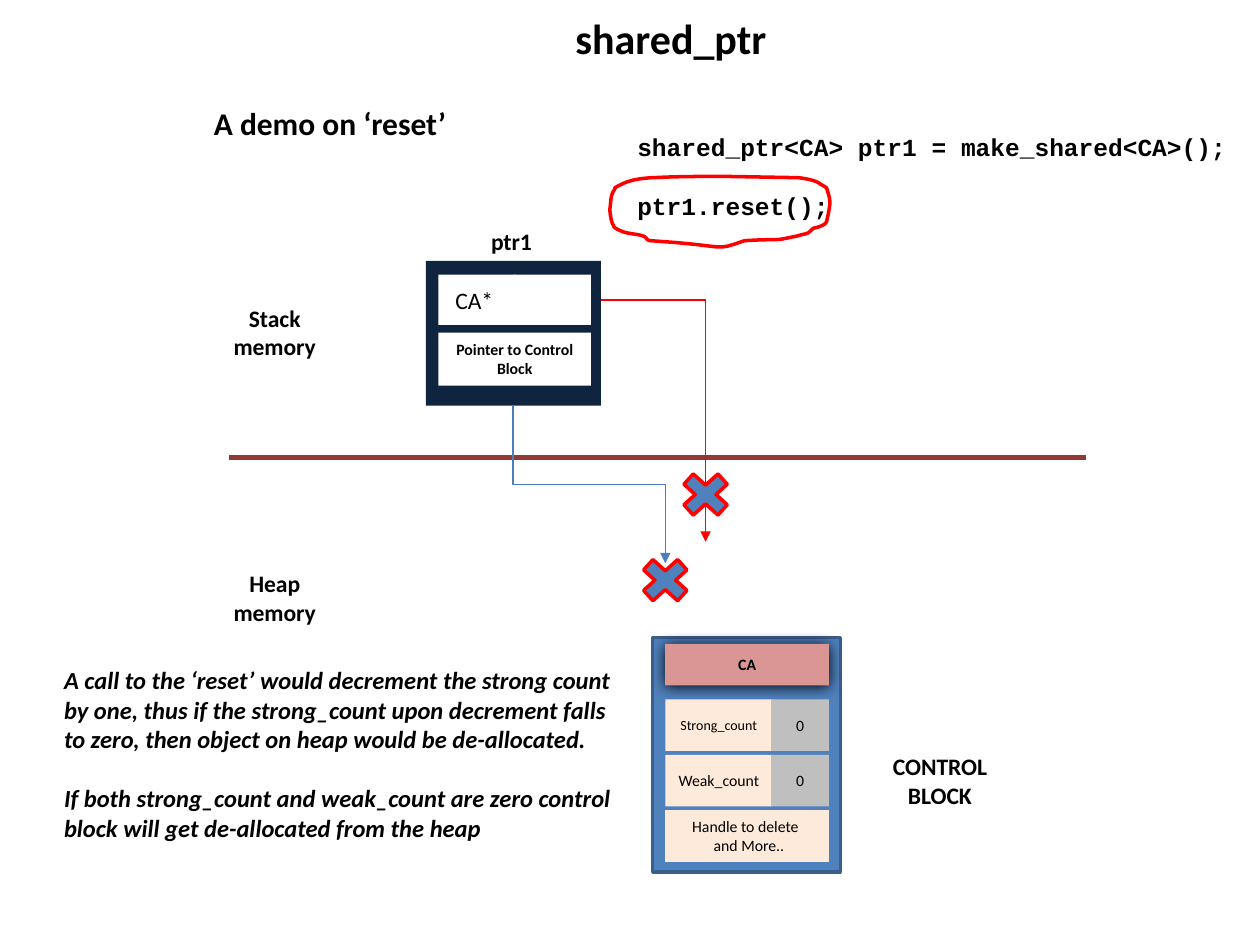
"""Build the slide that shows what reset does to a shared_ptr."""
from lxml import etree
from pptx import Presentation
from pptx import util as u
from pptx.dml.color import RGBColor
from pptx.enum import shapes as s, text as t
from pptx.oxml import ns

PX = 9144
RED, BLUE, WHITE, PEACH, GREY = "FF0000", "4F81BD", "FFFFFF", "FDEADA", "BFBFBF"
CENTER, LEFT = t.PP_ALIGN.CENTER, t.PP_ALIGN.LEFT


def paint(shape, fill=None, line=None, width=0):
    shape.shadow.inherit = False
    if fill:
        shape.fill.solid()
        shape.fill.fore_color.rgb = RGBColor.from_string(fill)
    else:
        shape.fill.background()
    if line:
        shape.line.color.rgb = RGBColor.from_string(line)
        shape.line.width = u.Pt(width)
    else:
        shape.line.fill.background()


def write(shape, lines, size, bold=True, align=CENTER, font="Calibri", italic=False, gap=0):
    frame = shape.text_frame
    frame.word_wrap = True
    for i, line in enumerate(lines):
        para = frame.add_paragraph() if i else frame.paragraphs[0]
        para.alignment = align
        para.space_before = u.Pt(gap if i else 0)
        run = para.add_run()
        run.text = line
        run.font.size = u.Pt(size)
        run.font.name = font
        run.font.bold = bold
        run.font.italic = italic
        run.font.color.rgb = RGBColor.from_string("000000")


prs = Presentation()
prs.slide_width, prs.slide_height = 1000 * PX, 750 * PX
slide = prs.slides.add_slide(prs.slide_layouts[5])
tree = slide.shapes

title = tree.title
title.left, title.top, title.width, title.height = [n * PX for n in (437, 5, 191, 50)]
title.text_frame.vertical_anchor = t.MSO_ANCHOR.TOP
title.text_frame.auto_size = t.MSO_AUTO_SIZE.SHAPE_TO_FIT_TEXT
write(title, ["shared_ptr"], 24)

pointer = [
    ((338, 207, 139, 115), "0F243E", [], 9, False),
    ((348, 218, 61, 40), WHITE, ["CA* "], 13.5, False),
    ((408, 218, 61, 40), WHITE, [], 9, False),
    ((348, 264, 121, 42), WHITE, ["Pointer to Control Block"], 9, True),
]
block = [
    ((518, 506, 149, 186), BLUE, [], 9, False),
    ((528, 511, 130, 33), "D99694", ["CA"], 9, True),
]
for row, (name, size) in enumerate([("Strong_count", 8), ("Weak_count", 9)]):
    top = 555 + 44 * row
    block.append(((528, top, 85, 41), PEACH, [name], size, False))
    block.append(((612, top, 46, 41), GREY, ["0"], 9, False))
block.append(((528, 643, 130, 41), PEACH, ["Handle to delete ", " and More.."], 9, False))

for cells in (pointer, block):
    group = tree.add_group_shape()
    for box, fill, lines, size, bold in cells:
        cell = group.shapes.add_shape(s.MSO_SHAPE.RECTANGLE, *[n * PX for n in box])
        paint(cell, fill)
        frame = cell.text_frame
        frame.margin_left = frame.margin_right = 5 * PX
        frame.vertical_anchor = t.MSO_ANCHOR.MIDDLE
        write(cell, lines, size, bold)
        if fill == BLUE:
            paint(cell, fill, "3A5F8C", 2)
        if lines == ["CA"]:
            glow = etree.SubElement(
                cell._element.spPr.find(ns.qn("a:effectLst")), ns.qn("a:outerShdw"),
                blurRad="107950", dist="12700", dir="5400000", algn="ctr", rotWithShape="0")
            etree.SubElement(glow, ns.qn("a:srgbClr"), val="000000")

STRAIGHT, ELBOW = s.MSO_CONNECTOR.STRAIGHT, s.MSO_CONNECTOR.ELBOW
wires = [
    (STRAIGHT, (182, 363, 862, 363), "953735", 3, False),
    (STRAIGHT, (477, 238, 560, 238), RED, 0.75, False),
    (STRAIGHT, (560, 238, 560, 430), RED, 0.75, True),
    (ELBOW, (405, 324, 530, 445), "4B7EBC", 0.75, True),
]
for kind, ends, tint, width, arrow in wires:
    wire = tree.add_connector(kind, *[n * PX for n in ends])
    wire.line.color.rgb = RGBColor.from_string(tint)
    wire.line.width = u.Pt(width)
    props = wire._element.spPr
    etree.SubElement(props, ns.qn("a:effectLst"))
    if arrow:
        etree.SubElement(props.find(ns.qn("a:ln")), ns.qn("a:tailEnd"), type="triangle")
    if kind == ELBOW:
        form = props.find(ns.qn("a:xfrm"))
        form.set("rot", "16200000")
        form.set("flipH", "1")

start = (488, 149)
curves = [
    [(490, 148), (495, 145), (499, 144)], [(504, 142), (515, 141), (519, 141)],
    [(538, 140), (557, 140), (576, 140)], [(632, 141)],
    [(636, 141), (648, 143), (651, 146)], [(656, 149)],
    [(659, 159), (660, 159), (656, 176)], [(655, 179), (647, 181), (646, 181)],
    [(644, 182), (643, 184), (641, 185)], [(639, 186), (636, 186), (634, 187)],
    [(610, 192), (627, 189), (591, 191)], [(565, 200), (581, 195), (516, 191)],
    [(514, 191), (513, 189), (512, 188)], [(508, 186), (503, 186), (499, 185)],
    [(496, 185), (490, 182), (490, 182)], [(489, 181), (487, 181), (487, 179)],
    [(485, 177), (484, 168), (484, 166)], [(485, 161), (484, 155), (488, 150)],
]
dots, last = [], start
for curve in curves:
    if len(curve) == 1:
        dots.append(curve[0])
    else:
        for step in range(1, 9):
            f = step / 8
            parts = [(1 - f) ** 3, 3 * f * (1 - f) ** 2, 3 * f * f * (1 - f), f ** 3]
            dots.append([sum(w * p[k] for w, p in zip(parts, [last] + curve)) for k in (0, 1)])
    last = curve[-1]
pen = tree.build_freeform(start[0] * PX, start[1] * PX, scale=1.0)
pen.add_line_segments([(x * PX, y * PX) for x, y in dots], close=True)
paint(pen.convert_to_shape(), None, RED, 2)

for left, top in [(534, 369), (502, 437)]:
    cross = tree.add_shape(s.MSO_SHAPE.MATH_MULTIPLY, left * PX, top * PX, 52 * PX, 47 * PX)
    paint(cross, BLUE, RED, 2)

code = ["shared_ptr<CA> ptr1 = make_shared<CA>();", "ptr1.reset();"]
note = [
    "A call to the ‘reset’ would decrement the strong count by one, thus if the strong_count "
    "upon decrement falls to zero, then object on heap would be de-allocated.",
    "If both strong_count and weak_count are zero control block will get de-allocated from the heap",
]
labels = [
    ((692, 592, 108, 56), ["CONTROL BLOCK"], 13.5, {}),
    ((164, 236, 108, 56), ["Stack memory"], 13.5, {}),
    ((164, 447, 108, 56), ["Heap memory"], 13.5, {}),
    ((378, 175, 56, 33), ["ptr1"], 13.5, {}),
    ((496, 100, 500, 81), code, 14, dict(align=LEFT, font="Courier New", gap=17)),
    ((41, 523, 465, 151), note, 14, dict(align=LEFT, italic=True, gap=17)),
    ((51, 78, 422, 40), ["A demo on ‘reset’"], 18, {}),
]
for box, lines, size, style in labels:
    label = tree.add_textbox(*[n * PX for n in box])
    label.text_frame.auto_size = t.MSO_AUTO_SIZE.SHAPE_TO_FIT_TEXT
    write(label, lines, size, **style)

prs.save("out.pptx")
